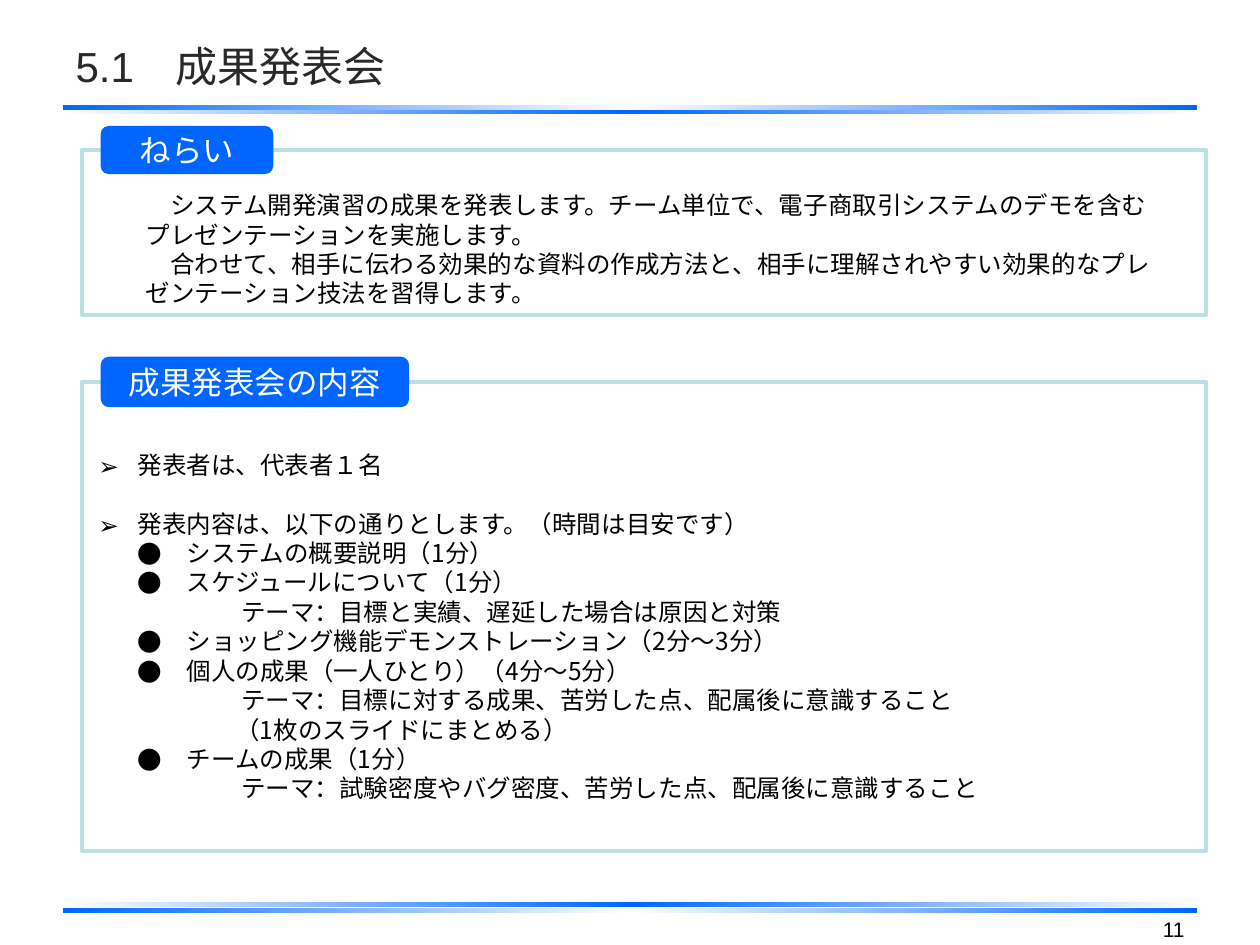
"""Build the slide that introduces the results presentation meeting."""
import copy

import pptx
import pptx.dml.color
import pptx.enum.shapes
import pptx.enum.text
import pptx.oxml.ns
import pptx.util
from lxml import etree
from pptx.util import Cm

JAPANESE = "Noto Sans CJK JP"
BLUE, WHITE, BLACK = "0066FF", "FFFFFF", "000000"
ALIGN = pptx.enum.text.PP_ALIGN
SHAPES = pptx.enum.shapes.MSO_SHAPE
qn = pptx.oxml.ns.qn


def color(hex_string):
    """Return the colour for a hex string."""
    return pptx.dml.color.RGBColor.from_string(hex_string)


def format_paragraph(paragraph, size, font, hex_string, alignment=ALIGN.LEFT):
    """Format a paragraph and its runs."""
    paragraph.alignment = alignment
    for run in paragraph.runs:
        run.font.size = pptx.util.Pt(size)
        run.font.name = font
        run.font.color.rgb = color(hex_string)
        east_asian = etree.SubElement(run.font._element, qn("a:ea"))
        east_asian.set("typeface", JAPANESE)


presentation = pptx.Presentation()
presentation.slide_width = Cm(25.4)
presentation.slide_height = Cm(19.05)
slide = presentation.slides.add_slide(presentation.slide_layouts[1])

outward = (WHITE, BLUE, WHITE)
inward = (BLUE, WHITE, BLUE)
for top, stops in [(2.21, outward), (2.11, inward), (18.31, inward), (18.19, outward)]:
    rule = slide.shapes.add_shape(SHAPES.RECTANGLE, Cm(1.27), Cm(top), Cm(22.86), Cm(0.1))
    rule.shadow.inherit = False
    rule.line.fill.background()
    rule.fill.gradient()
    rule.fill.gradient_angle = 0
    stop_list = rule._element.spPr.find(".//" + qn("a:gsLst"))
    stop_list.append(copy.deepcopy(stop_list[0]))
    for index, (stop, hex_string) in enumerate(zip(rule.fill.gradient_stops, stops)):
        stop.position = index / 2
        stop.color.rgb = color(hex_string)

title = slide.shapes.title
title.left, title.top, title.width, title.height = Cm(1.27), Cm(0.43), Cm(22.86), Cm(1.78)
title.text_frame.text = "5.1　成果発表会"
title.text_frame.vertical_anchor = pptx.enum.text.MSO_ANCHOR.MIDDLE
format_paragraph(title.text_frame.paragraphs[0], 24, "Arial", "292929")

sections = [
    ("ねらい", 3.02, 3.33, 2.54, 3.48, 0.97),
    ("成果発表会の内容", 7.7, 9.45, 7.19, 6.22, 1.02),
]
for heading, frame_top, frame_height, label_top, label_width, label_height in sections:
    frame = slide.shapes.add_shape(
        SHAPES.RECTANGLE, Cm(1.65), Cm(frame_top), Cm(22.66), Cm(frame_height))
    frame.shadow.inherit = False
    frame.fill.background()
    frame.line.color.rgb = color("BBE0E3")
    frame.line.width = pptx.util.Pt(2.25)
    label = slide.shapes.add_shape(
        SHAPES.ROUNDED_RECTANGLE, Cm(2.03), Cm(label_top), Cm(label_width), Cm(label_height))
    label.shadow.inherit = False
    label.fill.solid()
    label.fill.fore_color.rgb = color(BLUE)
    label.line.fill.background()
    label.text_frame.text = heading
    format_paragraph(label.text_frame.paragraphs[0], 18, "Calibri", WHITE, ALIGN.CENTER)

aim = slide.shapes.add_textbox(Cm(2.69), Cm(3.71), Cm(20.98), Cm(2.64))
aim.text_frame.word_wrap = True
aim.text_frame.text = (
    "システム開発演習の成果を発表します。チーム単位で、電子商取引システムのデモを含むプレゼンテーションを実施します。\n"
    "合わせて、相手に伝わる効果的な資料の作成方法と、相手に理解されやすい効果的なプレゼンテーション技法を習得します。"
)
for paragraph in aim.text_frame.paragraphs:
    paragraph._p.get_or_add_pPr().set("indent", str(Cm(0.49)))
    paragraph.line_spacing = pptx.util.Pt(16.8)
    format_paragraph(paragraph, 14, JAPANESE, BLACK)

levels = {
    "point": ("➢", 0.79, -0.79),
    "item": ("●", 1.78, -0.99),
    "theme": (None, 2.88, 0),
    "note": (None, 2.76, 0),
}
content = [
    ("point", "発表者は、代表者１名"),
    ("point", "発表内容は、以下の通りとします。（時間は目安です）"),
    ("item", "システムの概要説明（1分）"),
    ("item", "スケジュールについて（1分）"),
    ("theme", "テーマ：目標と実績、遅延した場合は原因と対策"),
    ("item", "ショッピング機能デモンストレーション（2分～3分）"),
    ("item", "個人の成果（一人ひとり）（4分～5分）"),
    ("theme", "テーマ：目標に対する成果、苦労した点、配属後に意識すること"),
    ("note", "（1枚のスライドにまとめる）"),
    ("item", "チームの成果（1分）"),
    ("theme", "テーマ：試験密度やバグ密度、苦労した点、配属後に意識すること"),
]
body = slide.placeholders[1]
body.left, body.top, body.width, body.height = Cm(1.73), Cm(8.94), Cm(22.4), Cm(8.03)
body.text_frame.auto_size = pptx.enum.text.MSO_AUTO_SIZE.NONE
body.text_frame.text = "\n".join(text for level, text in content)
for index, (level, text) in enumerate(content):
    paragraph = body.text_frame.paragraphs[index]
    bullet, margin, indent = levels[level]
    properties = paragraph._p.get_or_add_pPr()
    properties.set("marL", str(Cm(margin)))
    properties.set("indent", str(Cm(indent)))
    if bullet:
        etree.SubElement(properties, qn("a:buFont")).set("typeface", JAPANESE)
        etree.SubElement(properties, qn("a:buChar")).set("char", bullet)
    else:
        etree.SubElement(properties, qn("a:buNone"))
    paragraph.line_spacing = pptx.util.Pt(16.8)
    paragraph.space_before = pptx.util.Pt(16.8 if level == "point" and index else 0)
    format_paragraph(paragraph, 14, JAPANESE, BLACK)

page_number = slide.shapes.add_textbox(Cm(18.21), Cm(18.36), Cm(5.92), Cm(0.69))
page_number.text_frame.word_wrap = True
page_number.text_frame.text = "11"
format_paragraph(page_number.text_frame.paragraphs[0], 12, "Arial", BLACK, ALIGN.RIGHT)

presentation.save("out.pptx")
